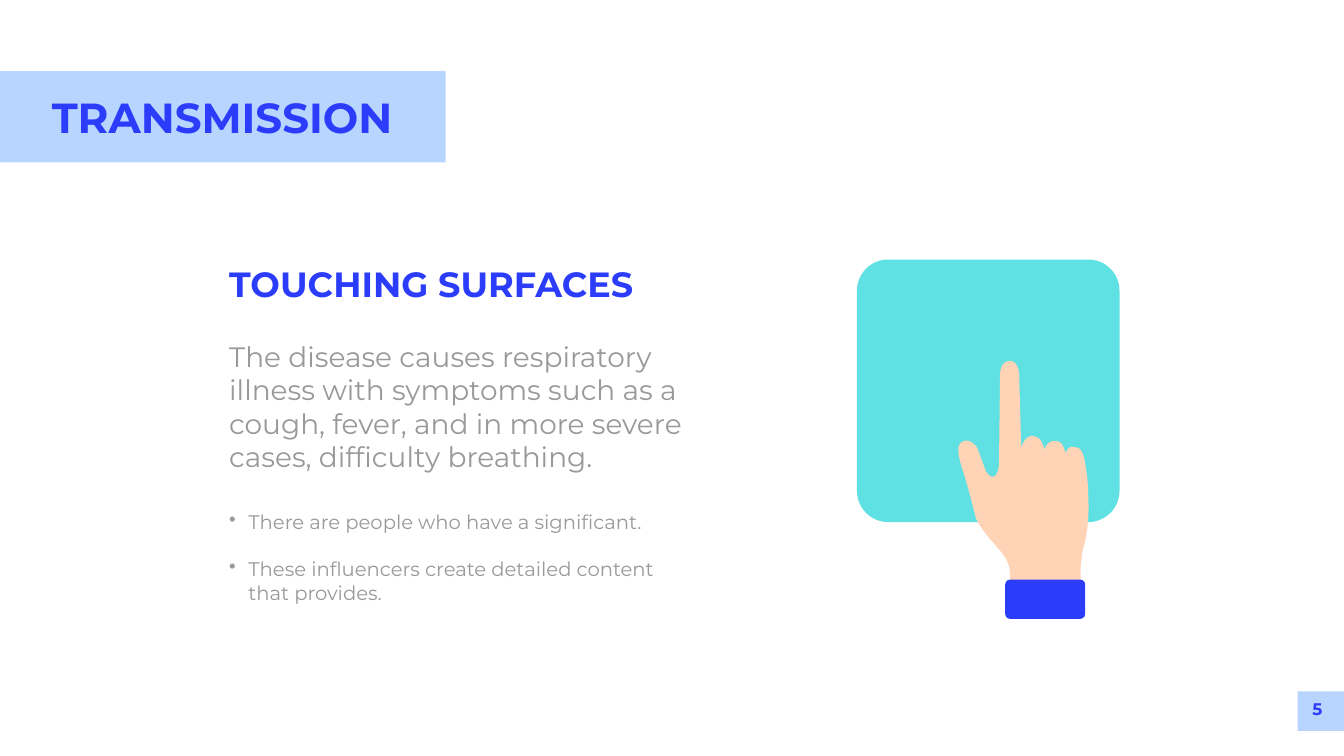
from lxml import etree
from pptx import Presentation
from pptx.dml.color import RGBColor
from pptx.enum.shapes import MSO_SHAPE as SHAPE
from pptx.enum.text import PP_ALIGN as ALIGN
from pptx.oxml.ns import qn
from pptx.util import Cm, Pt

COLORS = {"pale": "B8D5FF", "blue": "2B3DFA", "teal": "5FE1E4",
          "skin": "FFD3B6", "gray": "999999"}
FONT = "Montserrat"
HAND_START = (262, 268)
HAND_SEGMENTS = [
    [(262, 253), (261, 233), (256, 205)], [(252, 179), (247, 171), (233, 171)],
    [(224, 169), (221, 175), (216, 183)], [(216, 183), (215, 161), (199, 159)],
    [(185, 157), (177, 167), (175, 177)], [(175, 175), (171, 149), (151, 149)],
    [(139, 149), (133, 161), (129, 171)], [(125, 28)],
    [(125, 16), (119, 0), (107, 0)], [(93, 0), (87, 13), (87, 28)], [(85, 199)],
    [(85, 231), (71, 239), (59, 219)], [(42, 173)],
    [(33, 159), (19, 153), (9, 163)], [(0, 171), (5, 189), (11, 211)],
    [(23, 245), (39, 312), (39, 312)], [(45, 324), (53, 336), (61, 346)],
    [(91, 381)], [(101, 393), (107, 409), (107, 425)], [(107, 455)],
    [(107, 463), (113, 469), (119, 469)], [(235, 469)],
    [(241, 469), (247, 463), (247, 455)], [(247, 411)],
    [(247, 403), (249, 395), (249, 389)], [(250, 380)],
    [(261, 344), (264, 306), (262, 268)],
]


def paint(sp, color):
    """Give a shape a plain fill without line or shadow."""
    sp.shadow.inherit = False
    sp.fill.solid()
    sp.fill.fore_color.rgb = RGBColor.from_string(COLORS[color])
    sp.line.fill.background()


def add_block(s, x, y, w, h, color, radius=0):
    """Add a filled rectangle, rounded if a radius is given."""
    kind = SHAPE.ROUNDED_RECTANGLE if radius else SHAPE.RECTANGLE
    sp = s.shapes.add_shape(kind, Cm(x), Cm(y), Cm(w), Cm(h))
    if radius:
        sp.adjustments[0] = radius / min(w, h)
    paint(sp, color)


def add_bullet(p, indent):
    """Set a hanging bullet on a paragraph."""
    pPr = p._p.get_or_add_pPr()
    pPr.set("marL", str(Cm(indent)))
    pPr.set("indent", str(-Cm(indent)))
    etree.SubElement(pPr, qn("a:buChar")).set("char", "•")


def add_text(s, text, x, y, w, h, size=28, color="gray", bold=False,
             align=ALIGN.LEFT, indent=0, gap=0):
    """Add a text box with one paragraph for each line of text."""
    tf = s.shapes.add_textbox(Cm(x), Cm(y), Cm(w), Cm(h)).text_frame
    tf.word_wrap = True
    for i, line in enumerate(text.split("\n")):
        p = tf.add_paragraph() if i else tf.paragraphs[0]
        p.alignment = align
        if i and gap:
            p.space_before = Pt(gap)
        if indent:
            add_bullet(p, indent)
        r = p.add_run()
        r.text = line
        r.font.name, r.font.size, r.font.bold = FONT, Pt(size), bold
        r.font.color.rgb = RGBColor.from_string(COLORS[color])


def curve_points(start, segments, steps=10):
    """Return the points along a run of straight and cubic segments."""
    points = [start]
    for segment in segments:
        if len(segment) == 1:
            points += segment
            continue
        a, (b, c, d) = points[-1], segment
        for i in range(1, steps + 1):
            t = i / steps
            u = 1 - t
            points.append(tuple(
                u**3 * a[k] + 3 * u * u * t * b[k] + 3 * u * t * t * c[k] + t**3 * d[k]
                for k in (0, 1)))
    return points


def add_hand(s, x, y, unit=0.0254):
    """Add the pointing hand, drawn in steps of one unit."""
    points = [(Cm(px * unit), Cm(py * unit))
              for px, py in curve_points(HAND_START, HAND_SEGMENTS)]
    fb = s.shapes.build_freeform(*points[0])
    fb.add_line_segments(points[1:], close=True)
    paint(fb.convert_to_shape(Cm(x), Cm(y)), "skin")


def add_title(s, x, y, w, h):
    """Add the title band."""
    add_block(s, x, y, w, h, "pale")
    add_text(s, "TRANSMISSION", x + 2.36, y + 0.89, 18.21, 2.82,
             size=60, color="blue", bold=True)


def add_copy(s, x, y, w):
    """Add the heading, the paragraph and the bullets."""
    add_text(s, "TOUCHING SURFACES", x, y, 21.03, 2.39,
             size=50, color="blue", bold=True)
    add_text(s, "The disease causes respiratory illness with symptoms such as a "
             "cough, fever, and in more severe cases, difficulty breathing.",
             x, y + 3.89, w, 7.09, size=40)
    add_text(s, "There are people who have a significant.\n"
             "These influencers create detailed content that provides.",
             x, y + 12.5, 23.01, 5.05, indent=0.97, gap=34)


def add_touch(s, x, y, side):
    """Add the surface with the hand that touches it."""
    add_block(s, x, y, side, side, "teal", radius=1.57)
    add_hand(s, x + 5, y + 5.11)
    add_block(s, x + 7.47, y + 16.13, 4.03, 1.98, "blue", radius=0.25)


def add_page_number(s, x, y, w, h):
    """Add the page number badge."""
    add_block(s, x, y, w, h, "pale")
    add_text(s, "5", x - 0.15, y + 0.25, 2.3, 1.55,
             size=24, color="blue", bold=True, align=ALIGN.CENTER)


def main():
    """Build and save the slide."""
    prs = Presentation()
    prs.slide_width, prs.slide_height = Cm(67.72), Cm(38.1)
    s = prs.slides.add_slide(prs.slide_layouts[6])
    add_page_number(s, 65.38, 34.85, 2.34, 1.98)
    add_title(s, 0, 3.58, 22.46, 4.6)
    add_touch(s, 43.18, 13.08, 13.23)
    add_copy(s, 11.3, 13.08, 25.76)
    prs.save("out.pptx")


if __name__ == "__main__":
    main()
